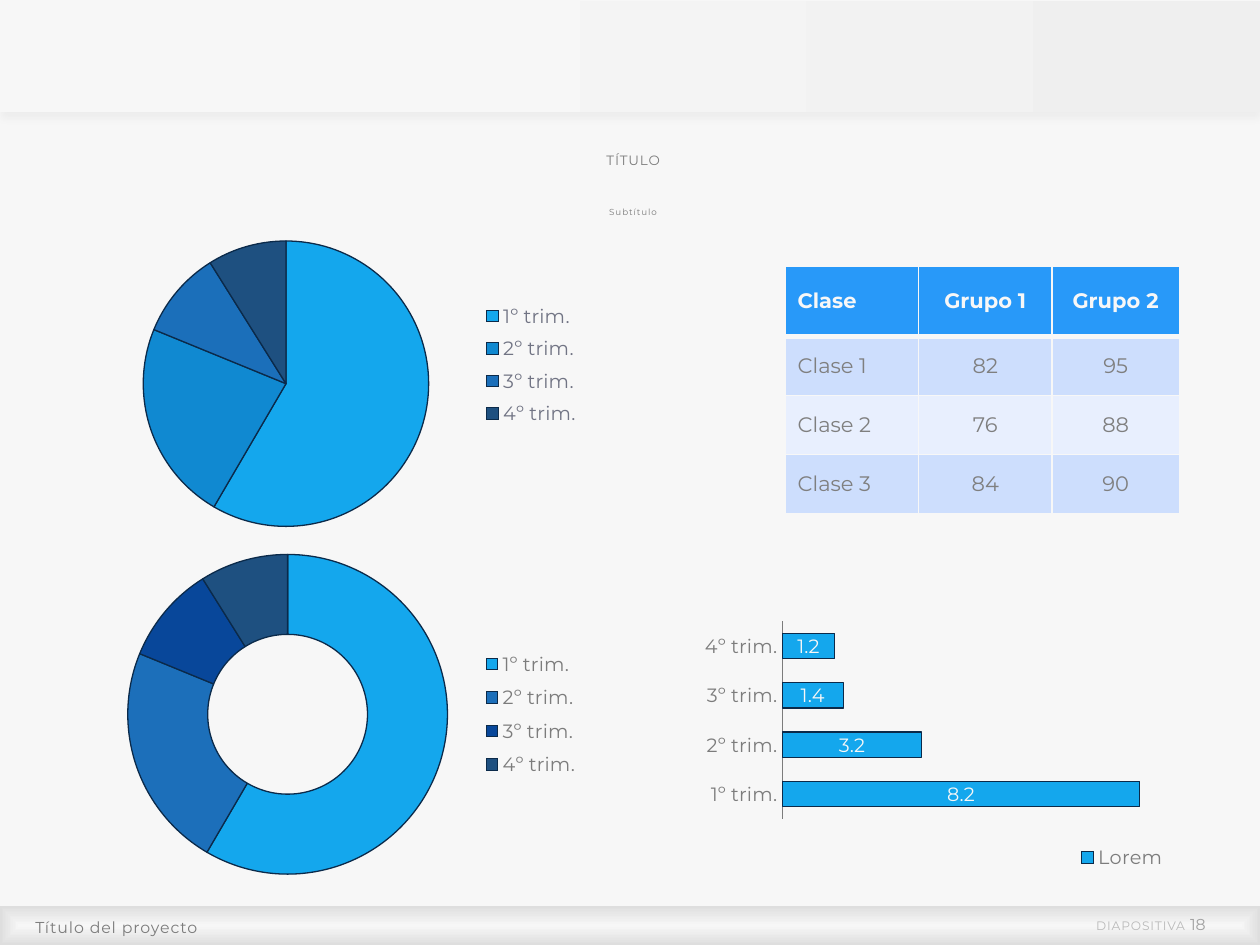
from lxml.etree import SubElement
from pptx import Presentation
from pptx.chart.data import CategoryChartData
from pptx.dml.color import RGBColor
from pptx.enum.chart import XL_CHART_TYPE as ChartType, XL_LABEL_POSITION as LabelPosition
from pptx.enum.chart import XL_LEGEND_POSITION as LegendPosition, XL_TICK_MARK as TickMark
from pptx.enum.shapes import MSO_SHAPE as Preset
from pptx.enum.text import MSO_ANCHOR as Anchor, PP_ALIGN as Align
from pptx.oxml import parse_xml
from pptx.oxml.ns import nsdecls, qn
from pptx.util import Inches, Pt

COLORS = {
    "paper": "F7F7F7", "header_end": "EFEFEF", "footer_end": "DEDEDE",
    "text": "7C7C7C", "label": "B9B9B9", "number": "A1A1A1", "legend": "717484",
    "cell_text": "7F7F7F", "head_fill": "2899F9", "odd_fill": "CDDEFD", "even_fill": "E8EFFE",
    "outline": "0B2A4A", "sky": "14A7ED", "azure": "1089D1", "blue": "1B6FBA",
    "cobalt": "1C6FBA", "royal": "08479A", "navy": "1E5080",
}
FONT = "Montserrat"
QUARTERS = ["1º trim.", "2º trim.", "3º trim.", "4º trim."]
SHARES = [59, 23, 10, 9]
SCORES = [("Clase", "Grupo 1", "Grupo 2"), ("Clase 1", "82", "95"),
          ("Clase 2", "76", "88"), ("Clase 3", "84", "90")]


def rgb(name):
    """Return a palette colour."""
    return RGBColor.from_string(COLORS[name])


def set_font(font, size, color, bold=False):
    """Apply the deck typeface with a size and a colour."""
    for key, value in {"name": FONT, "size": Pt(size), "bold": bold}.items():
        setattr(font, key, value)
    font.color.rgb = rgb(color)


def add_band(slide, top, height, stops):
    """Add a full-width gradient band and return it."""
    shape = slide.shapes.add_shape(Preset.RECTANGLE, 0, Inches(top), Inches(10), Inches(height))
    shape.shadow.inherit = False
    shape.line.fill.background()
    shape.fill.gradient()
    shape.fill.gradient_angle = 0
    for stop, (position, color) in zip(shape.fill.gradient_stops, stops):
        stop.position = position
        stop.color.rgb = rgb(color)
    return shape


def add_soft_shadow(shape):
    """Give a shape a faint shadow below it."""
    effects = shape._element.spPr.find(qn("a:effectLst"))
    effects.append(parse_xml(
        f'<a:outerShdw {nsdecls("a")} blurRad="{Pt(4)}" dist="{Pt(3)}" dir="5400000">'
        '<a:srgbClr val="000000"><a:alpha val="3000"/></a:srgbClr></a:outerShdw>'))


def make_radial(shape):
    """Turn a linear gradient into one that follows the outline."""
    gradient = shape._element.spPr.find(qn("a:gradFill"))
    gradient.replace(gradient.find(qn("a:lin")), parse_xml(
        f'<a:path {nsdecls("a")} path="shape">'
        '<a:fillToRect l="50000" t="50000" r="50000" b="50000"/></a:path>'))


def add_text(slide, box, runs, align, spacing=1.0, inset=0.04, wrap=True):
    """Add a one-paragraph text box from (text, size, colour, tracking) runs."""
    frame = slide.shapes.add_textbox(*map(Inches, box)).text_frame
    settings = {"word_wrap": wrap, "vertical_anchor": Anchor.MIDDLE, "margin_left": Inches(inset),
                "margin_top": 0, "margin_right": 0, "margin_bottom": 0}
    for key, value in settings.items():
        setattr(frame, key, value)
    paragraph = frame.paragraphs[0]
    paragraph.alignment = align
    paragraph.line_spacing = spacing
    for text, size, color, tracking in runs:
        run = paragraph.add_run()
        run.text = text
        set_font(run.font, size, color)
        run.font._element.set("spc", str(int(tracking * 100)))


def set_layout(parent, index, box, inner=False):
    """Place a chart part by fractions of the chart area."""
    for old in parent.findall(qn("c:layout")):
        parent.remove(old)
    layout = parse_xml(f'<c:layout {nsdecls("c")}><c:manualLayout/></c:layout>')
    entries = [("layoutTarget", "inner")] if inner else []
    entries += [("xMode", "edge"), ("yMode", "edge"), *zip("xywh", box)]
    for tag, value in entries:
        SubElement(layout[0], qn(f"c:{tag}")).set("val", str(value))
    parent.insert(index, layout)


def paint(chart_format, color):
    """Fill a chart element and outline it."""
    chart_format.fill.solid()
    chart_format.fill.fore_color.rgb = rgb(color)
    chart_format.line.color.rgb = rgb("outline")
    chart_format.line.width = Pt(0.75)


def add_chart(slide, kind, box, series, plot_box, legend_box, legend_color="text"):
    """Add a quarterly chart with a placed plot and legend."""
    data = CategoryChartData()
    data.categories = QUARTERS
    data.add_series(*series)
    chart = slide.shapes.add_chart(kind, *map(Inches, box), data).chart
    chart.has_title = False
    set_font(chart.font, 11, "text")
    chart.has_legend = True
    chart.legend.position = LegendPosition.RIGHT
    chart.legend.include_in_layout = False
    set_font(chart.legend.font, 11, legend_color)
    set_layout(chart.legend._element, 1, legend_box)
    set_layout(chart._chartSpace.chart.plotArea, 0, plot_box, inner=True)
    return chart


def color_slices(chart, colors):
    """Give each slice its colour."""
    for index, color in enumerate(colors):
        paint(chart.plots[0].series[0].points[index].format, color)


def style_bars(chart):
    """Style the bars, their labels and both axes."""
    plot = chart.plots[0]
    for key, value in {"gap_width": 95, "overlap": 100, "vary_by_categories": False,
                       "has_data_labels": True}.items():
        setattr(plot, key, value)
    paint(plot.series[0].format, "sky")
    plot.data_labels.show_value = True
    plot.data_labels.position = LabelPosition.CENTER
    set_font(plot.data_labels.font, 11, "paper")
    for key, value in {"visible": False, "has_major_gridlines": False,
                       "minimum_scale": 0, "maximum_scale": 9}.items():
        setattr(chart.value_axis, key, value)
    axis = chart.category_axis
    axis.major_tick_mark = TickMark.NONE
    axis.format.line.color.rgb = rgb("text")
    axis.format.line.width = Pt(0.5)
    set_font(axis.tick_labels.font, 11, "text")


def style_cell(cell, text, row, column):
    """Write and style one table cell."""
    header = row == 0
    cell.text = text
    cell.vertical_anchor = Anchor.MIDDLE
    paragraph = cell.text_frame.paragraphs[0]
    paragraph.alignment = Align.CENTER if column else Align.LEFT
    set_font(paragraph.runs[0].font, 12, "paper" if header else "cell_text", header)
    properties = cell._tc.get_or_add_tcPr()
    for side in "LRTB":
        width = 3 if (side, row) in (("B", 0), ("T", 1)) else 1
        properties.append(parse_xml(
            f'<a:ln{side} {nsdecls("a")} w="{Pt(width)}"><a:solidFill>'
            f'<a:srgbClr val="{COLORS["paper"]}"/></a:solidFill></a:ln{side}>'))
    cell.fill.solid()
    cell.fill.fore_color.rgb = rgb("head_fill" if header else "odd_fill" if row % 2 else "even_fill")


def add_score_table(slide):
    """Add the table of groups by class."""
    table = slide.shapes.add_table(4, 3, *map(Inches, (6.23, 2.11, 3.13, 1.96))).table
    for column, width in zip(table.columns, (1.06, 1.06, 1.01)):
        column.width = Inches(width)
    for row, height in zip(table.rows, (0.56, 0.47, 0.47, 0.47)):
        row.height = Inches(height)
    for row, texts in enumerate(SCORES):
        for column, text in enumerate(texts):
            style_cell(table.cell(row, column), text, row, column)


def main():
    """Build the slide and save it."""
    presentation = Presentation()
    presentation.slide_width, presentation.slide_height = Inches(10), Inches(7.5)
    slide = presentation.slides.add_slide(presentation.slide_layouts[6])
    slide.background.fill.solid()
    slide.background.fill.fore_color.rgb = rgb("paper")
    add_soft_shadow(add_band(slide, 0.01, 0.88, [(0.28, "paper"), (1, "header_end")]))
    make_radial(add_band(slide, 7.19, 0.31, [(0, "paper"), (1, "footer_end")]))
    add_text(slide, (8.54, 7.26, 1.03, 0.15),
             [("DIAPOSITIVA ", 7, "label", 0.5), ("18", 9, "number", 0)],
             Align.RIGHT, inset=0, wrap=False)
    add_text(slide, (3.19, 1.07, 3.63, 0.41), [("TÍTULO", 7.7, "text", 0.5)], Align.CENTER, 0.94)
    add_text(slide, (3.19, 1.53, 3.63, 0.32), [("Subtítulo", 5, "text", 0.5)], Align.CENTER, 0.94)
    add_text(slide, (0.24, 7.19, 7.36, 0.31), [("Título del proyecto", 9, "text", 0.5)],
             Align.LEFT, 1.14)
    pie = add_chart(slide, ChartType.PIE, (0.63, 1.64, 4.1, 2.73), ("Series 1", SHARES),
                    (0.08, 0.1, 0.64, 0.83), (0.77, 0.26, 0.21, 0.4), "legend")
    color_slices(pie, ("sky", "azure", "blue", "navy"))
    bars = add_chart(slide, ChartType.BAR_STACKED, (5.38, 4.26, 4.15, 2.8),
                     ("Lorem", [8.2, 3.2, 1.4, 1.2]),
                     (0.2, 0.24, 0.75, 0.56), (0.76, 0.86, 0.18, 0.1))
    style_bars(bars)
    add_score_table(slide)
    doughnut = add_chart(slide, ChartType.DOUGHNUT, (0.63, 4.26, 4.24, 2.82), ("Series 1", SHARES),
                         (0.09, 0.05, 0.6, 0.9), (0.74, 0.3, 0.21, 0.4))
    color_slices(doughnut, ("sky", "cobalt", "royal", "navy"))
    presentation.save("out.pptx")


if __name__ == "__main__":
    main()
